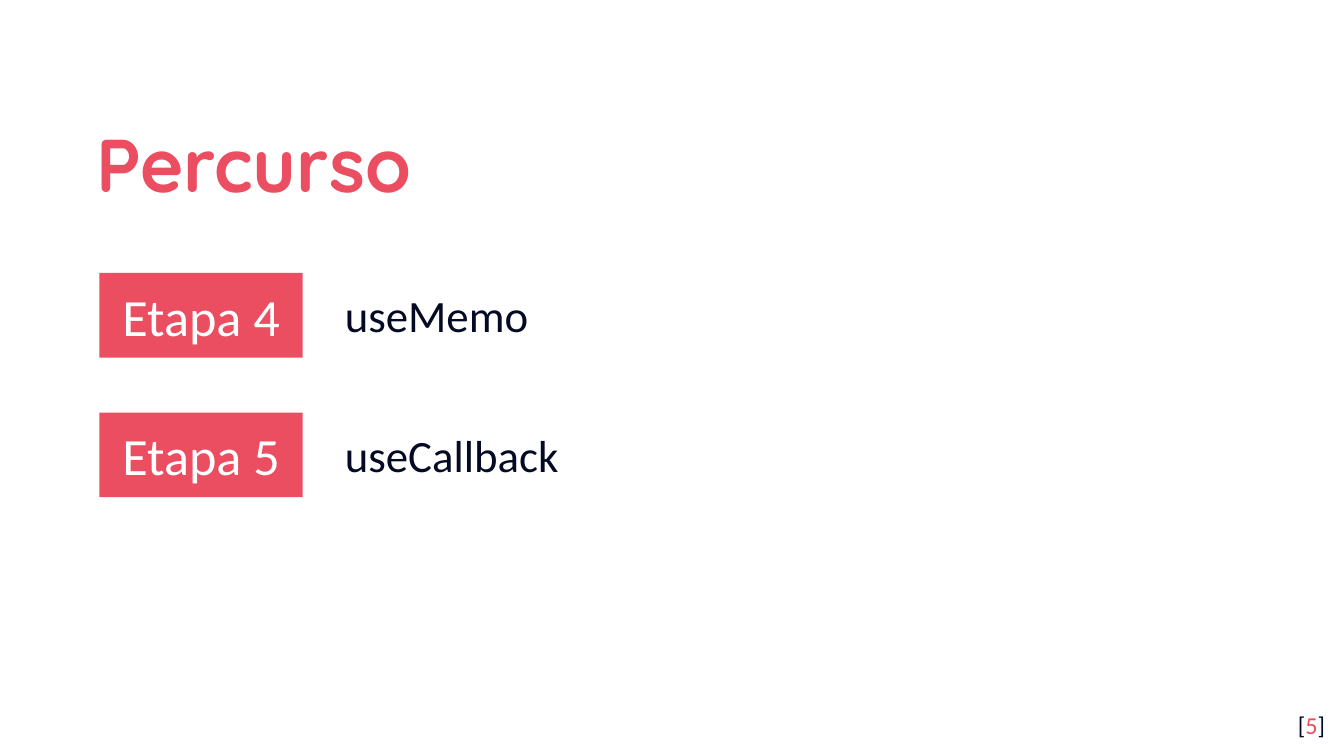
from pptx import Presentation
from pptx.dml.color import RGBColor
from pptx.enum.shapes import MSO_SHAPE as Shape
from pptx.enum.text import MSO_ANCHOR as Anchor, PP_ALIGN as Align
from pptx.util import Cm, Pt

COLORS = {"accent": "EA4E60", "dark": "040A24", "light": "FFFFFF"}
STAGES = [("Etapa 4", "useMemo"), ("Etapa 5", "useCallback")]
STAGE_TOP = 5.16
STAGE_STEP = 2.64


def color(name):
    return RGBColor.from_string(COLORS[name])


def add_run(paragraph, text, size=24, font="Calibri", fill="dark", bold=False):
    run = paragraph.add_run()
    run.text = text
    run.font.size = Pt(size)
    run.font.name = font
    run.font.bold = bold
    run.font.color.rgb = color(fill)


class SlideBuilder:
    body_font = "Calibri"
    title_font = "Quicksand"
    inset = 0.25

    def __init__(self, slide):
        self.slide = slide

    def prepare_frame(self, shape, anchor, vertical_inset, align):
        frame = shape.text_frame
        frame.word_wrap = True
        frame.vertical_anchor = anchor
        frame.margin_left = frame.margin_right = Cm(self.inset)
        frame.margin_top = frame.margin_bottom = Cm(vertical_inset)
        paragraph = frame.paragraphs[0]
        paragraph.alignment = align
        return paragraph

    def text_box(self, left, top, width, height, anchor=Anchor.TOP,
                 vertical_inset=0.25, align=Align.LEFT):
        box = self.slide.shapes.add_textbox(Cm(left), Cm(top), Cm(width), Cm(height))
        return self.prepare_frame(box, anchor, vertical_inset, align)

    def title(self, text):
        paragraph = self.text_box(1.57, 1.78, 20.57, 2.34, anchor=Anchor.MIDDLE)
        paragraph.line_spacing = 1.15
        add_run(paragraph, text, size=40, font=self.title_font, fill="accent", bold=True)

    def stage_label(self, text, top):
        label = self.slide.shapes.add_shape(
            Shape.RECTANGLE, Cm(1.88), Cm(top), Cm(3.84), Cm(1.6))
        label.shadow.inherit = False
        label.fill.solid()
        label.fill.fore_color.rgb = color("accent")
        label.line.fill.background()
        paragraph = self.prepare_frame(label, Anchor.MIDDLE, self.inset, Align.CENTER)
        add_run(paragraph, text, size=28, font=self.body_font, fill="light")

    def stage_topic(self, text, top):
        paragraph = self.text_box(6.27, top + 0.15, 17.15, 1.27, vertical_inset=0.13)
        add_run(paragraph, text, font=self.body_font)

    def page_number(self, number):
        paragraph = self.text_box(23.77, 13.18, 1.52, 1.09, align=Align.RIGHT)
        for text, fill in (("[", "dark"), (number, "accent"), ("]", "dark")):
            add_run(paragraph, text, size=13, font=self.body_font, fill=fill)


def main():
    presentation = Presentation()
    presentation.slide_width = Cm(25.4)
    presentation.slide_height = Cm(14.29)
    builder = SlideBuilder(presentation.slides.add_slide(presentation.slide_layouts[6]))
    builder.title("Percurso")
    for index, (label, topic) in enumerate(STAGES):
        top = STAGE_TOP + index * STAGE_STEP
        builder.stage_label(label, top)
        builder.stage_topic(topic, top)
    builder.page_number("5")
    presentation.save("out.pptx")


if __name__ == "__main__":
    main()
